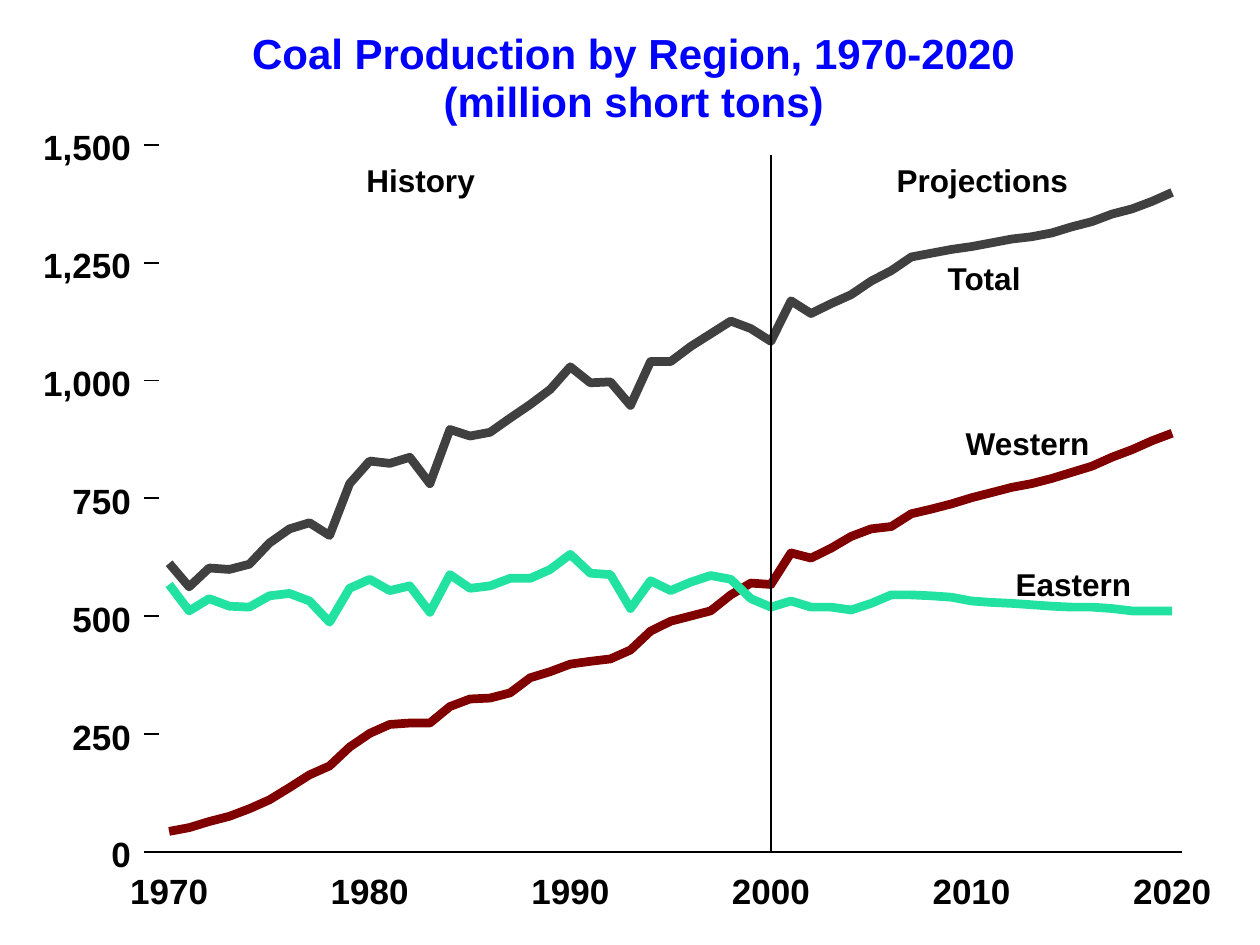
from lxml import etree
from pptx import Presentation
from pptx.dml.color import RGBColor
from pptx.enum.shapes import MSO_CONNECTOR
from pptx.enum.text import MSO_ANCHOR, MSO_AUTO_SIZE, PP_ALIGN
from pptx.oxml.ns import qn
from pptx.util import Cm, Pt

STRAIGHT = MSO_CONNECTOR.STRAIGHT
TOP = MSO_ANCHOR.TOP
FIT_SHAPE = MSO_AUTO_SIZE.SHAPE_TO_FIT_TEXT
FIT_NONE = MSO_AUTO_SIZE.NONE
CENTER, RIGHT = PP_ALIGN.CENTER, PP_ALIGN.RIGHT

FIRST_YEAR, LAST_YEAR, SPLIT_YEAR = 1970, 2020, 2000
MAX_TONS, TICK_TONS = 1500, 250
PLOT_LEFT, PLOT_WIDTH = 3.41, 20.22
BASELINE, PLOT_HEIGHT = 17.17, 14.25
TICK_LEFT, TICK_RIGHT, AXIS_RIGHT = 2.9, 3.2, 23.83
TICK_LABEL_RIGHT = 2.64
DIGIT_WIDTH, COMMA_WIDTH = 0.41, 0.22

# One value a year, in million short tons
TOTAL = [
    612, 562, 602, 599, 610, 655, 685, 698, 671, 781,
    829, 824, 837, 781, 896, 882, 890, 920, 949, 981,
    1029, 995, 997, 947, 1040, 1040, 1072, 1099, 1126, 1110,
    1083, 1169, 1142, 1163, 1182, 1211, 1233, 1262, 1270, 1278,
    1284, 1292, 1300, 1305, 1313, 1326, 1337, 1353, 1364, 1380, 1399,
]
WESTERN = [
    43, 51, 64, 75, 91, 110, 136, 163, 182, 222,
    251, 270, 273, 273, 308, 324, 326, 337, 369, 382,
    398, 404, 409, 428, 468, 489, 500, 511, 545, 570,
    567, 634, 623, 644, 669, 685, 690, 717, 727, 738,
    751, 762, 773, 781, 792, 805, 818, 837, 853, 872, 888,
]
EASTERN = [
    567, 511, 537, 521, 519, 543, 548, 532, 487, 559,
    578, 554, 564, 508, 588, 559, 564, 580, 580, 599,
    631, 591, 588, 516, 575, 554, 572, 586, 578, 537,
    519, 532, 519, 519, 513, 527, 545, 545, 543, 540,
    532, 529, 527, 524, 521, 519, 519, 516, 511, 511, 511,
]
SERIES = [(TOTAL, "404040"), (WESTERN, "800000"), (EASTERN, "22E2A1")]

LABELS = [
    ("Eastern", 20.42, 11.4, 2.44),
    ("Western", 19.41, 8.55, 2.61),
    ("Total", 19.03, 5.22, 1.62),
    ("History", 7.34, 3.25, 2.28),
    ("Projections", 18.03, 3.25, 3.55),
]


def color(value):
    return RGBColor.from_string(value)


def year_x(year):
    return PLOT_LEFT + PLOT_WIDTH * (year - FIRST_YEAR) / (LAST_YEAR - FIRST_YEAR)


def tons_y(tons):
    return BASELINE - PLOT_HEIGHT * tons / MAX_TONS


def write(frame, text, size=20, ink="000000", align=CENTER, spacing=None, fit=FIT_SHAPE):
    """Fill a text frame, one paragraph for each line of text."""
    frame.margin_left = frame.margin_right = frame.margin_top = frame.margin_bottom = 0
    frame.vertical_anchor = TOP
    frame.word_wrap = False
    frame.auto_size = fit
    frame.text = text
    for para in frame.paragraphs:
        para.alignment = align
        para.line_spacing = spacing
        para.font.name = "Arial"
        para.font.size = Pt(size)
        para.font.bold = True
        para.font.color.rgb = color(ink)


class ChartSlide:
    """Holds the current slide and the style of its elements."""

    ink = "000000"
    series_width = 5

    def __init__(self, deck):
        self.slide = deck.slides.add_slide(deck.slide_layouts[5])
        self.shapes = self.slide.shapes

    def title(self, text, left, top, width, height):
        box = self.shapes.title
        box.left, box.top, box.width, box.height = map(Cm, (left, top, width, height))
        write(box.text_frame, text, size=24, ink="0000FF", spacing=0.95, fit=FIT_NONE)

    def label(self, text, left, top, width, height, **style):
        box = self.shapes.add_textbox(*map(Cm, (left, top, width, height)))
        write(box.text_frame, text, ink=self.ink, **style)

    def line(self, x1, y1, x2, y2, width=1):
        line = self.shapes.add_connector(STRAIGHT, *map(Cm, (x1, y1, x2, y2)))
        line.line.color.rgb = color(self.ink)
        line.line.width = Pt(width)
        etree.SubElement(line._element.spPr, qn("a:effectLst"))

    def series(self, values, ink):
        points = [(Cm(year_x(year)), Cm(tons_y(tons)))
                  for year, tons in enumerate(values, FIRST_YEAR)]
        builder = self.shapes.build_freeform(*points[0])
        builder.add_line_segments(points[1:], close=False)
        curve = builder.convert_to_shape()
        curve.fill.background()
        curve.line.color.rgb = color(ink)
        curve.line.width = Pt(self.series_width)
        curve.shadow.inherit = False


def main():
    deck = Presentation()
    deck.slide_width, deck.slide_height = Cm(25.4), Cm(19.05)
    page = ChartSlide(deck)
    page.title("Coal Production by Region, 1970-2020\n(million short tons)",
               5.08, 0.63, 15.39, 1.93)

    for values, ink in SERIES:
        page.series(values, ink)

    page.line(TICK_RIGHT, BASELINE, AXIS_RIGHT, BASELINE)
    for year in range(FIRST_YEAR, LAST_YEAR + 1, 10):
        width = 4 * DIGIT_WIDTH
        page.label(str(year), year_x(year) - width / 2, 17.53, width, 0.84)

    for tons in range(0, MAX_TONS + 1, TICK_TONS):
        y = tons_y(tons)
        page.line(TICK_LEFT, y, TICK_RIGHT, y)
        text = f"{tons:,}"
        width = len(str(tons)) * DIGIT_WIDTH + text.count(",") * COMMA_WIDTH
        page.label(text, TICK_LABEL_RIGHT - width, y - 0.38, width, 0.84, align=RIGHT)

    for text, left, top, width in LABELS:
        page.label(text, left, top, width, 0.76, size=18)

    split_x = year_x(SPLIT_YEAR)
    page.line(split_x, 3.12, split_x, BASELINE, width=0.75)
    deck.save("out.pptx")


if __name__ == "__main__":
    main()
